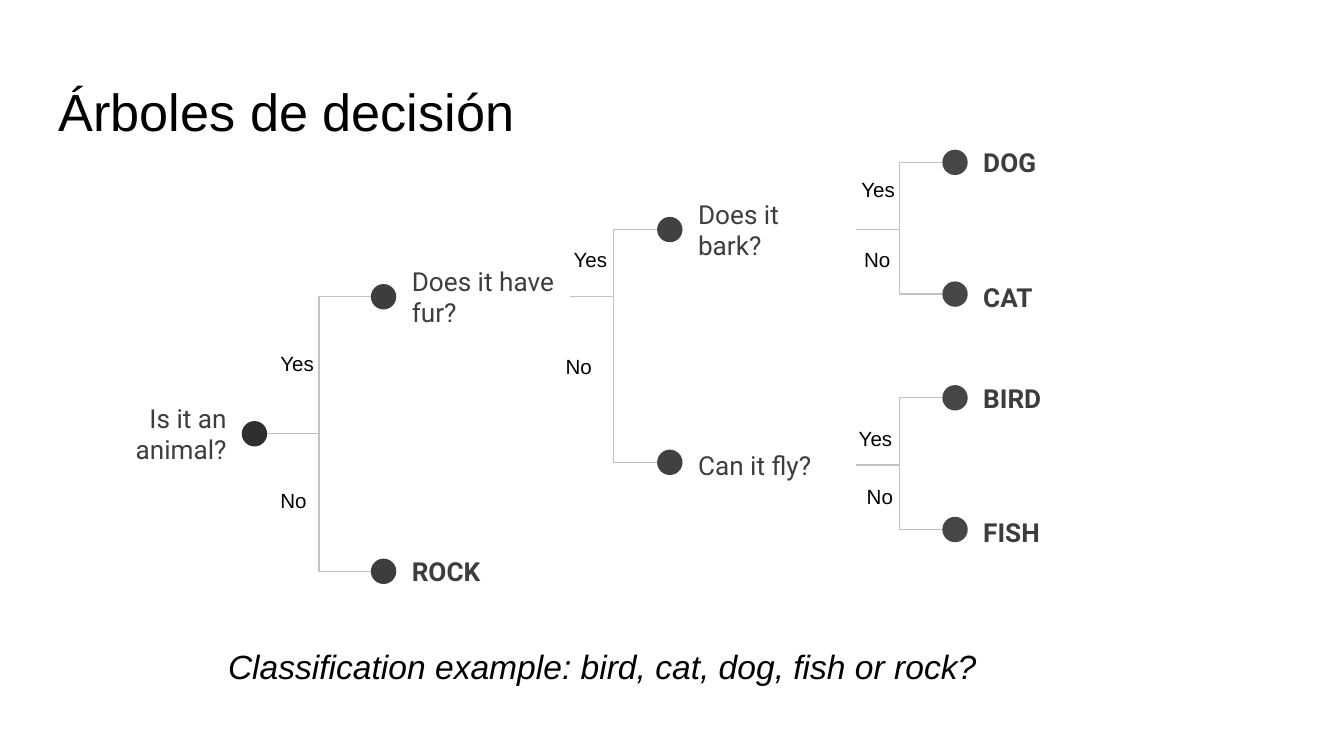
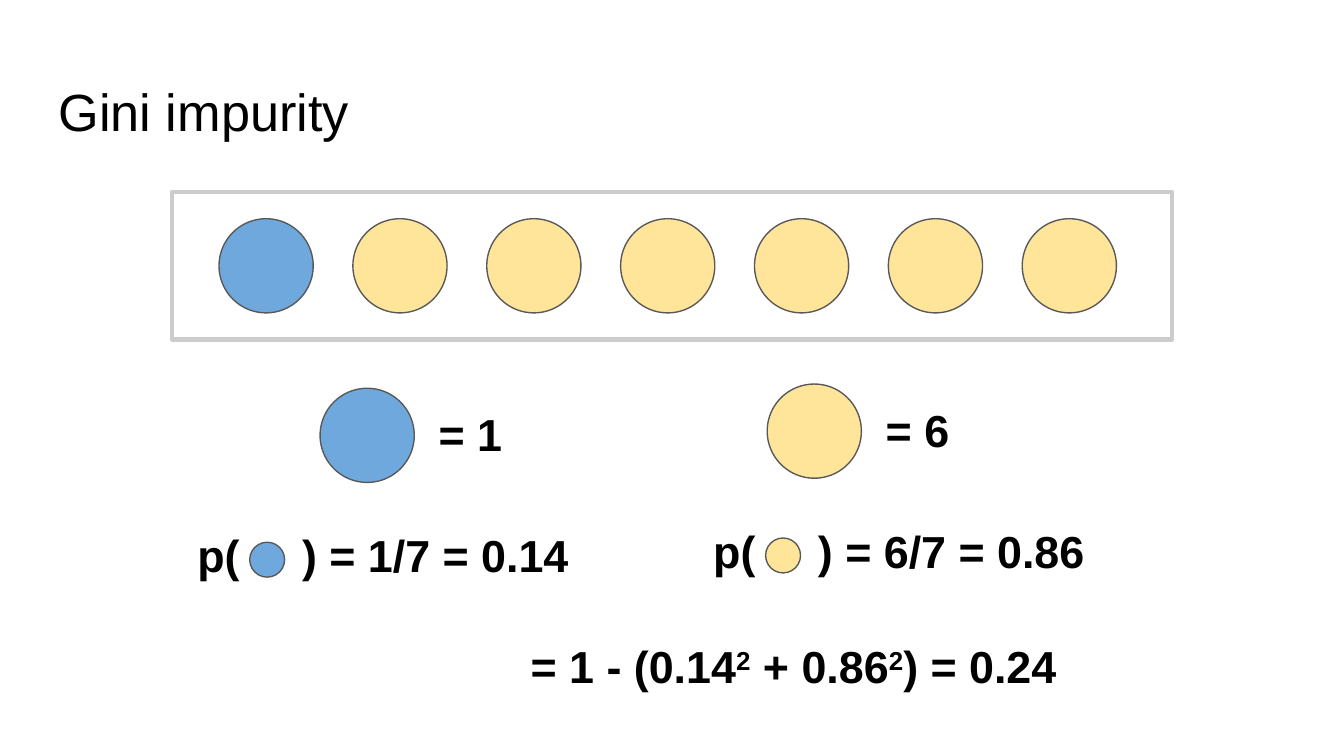
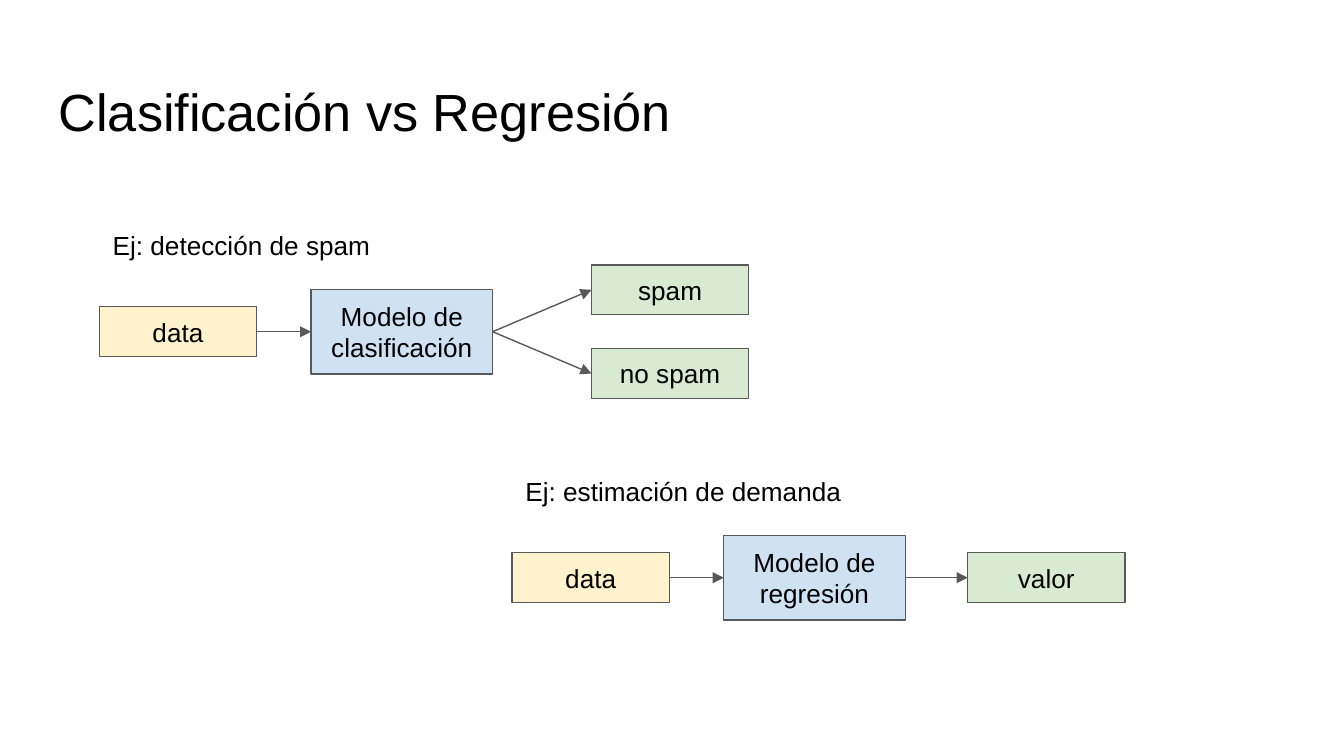
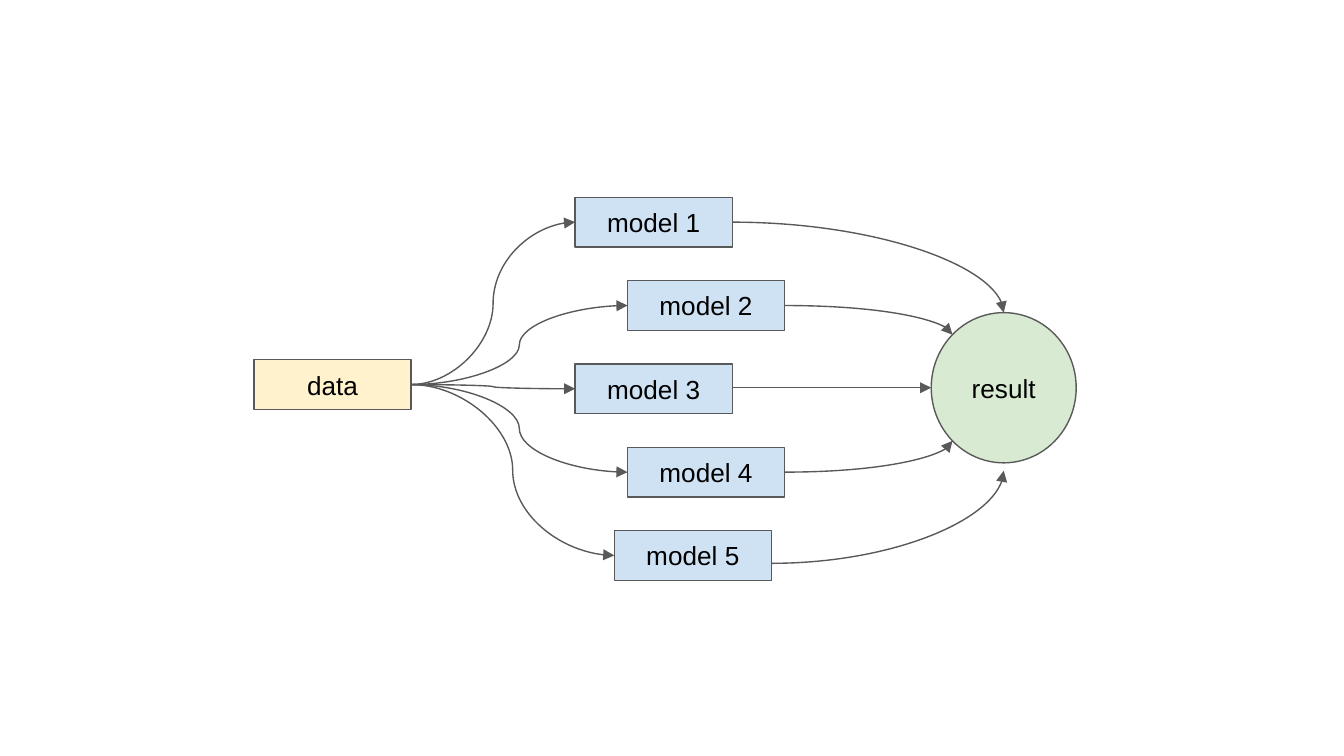
"""Builds four slides on decision trees, Gini impurity and model types."""
from collections import namedtuple
from math import cos, radians, sin

from lxml import etree
from pptx import Presentation
from pptx.dml.color import RGBColor
from pptx.enum.shapes import MSO_CONNECTOR, MSO_SHAPE
from pptx.enum.text import MSO_ANCHOR, PP_ALIGN
from pptx.oxml.ns import qn
from pptx.util import Cm, Pt

LEFT, CENTER, RIGHT = PP_ALIGN.LEFT, PP_ALIGN.CENTER, PP_ALIGN.RIGHT
TOP, MIDDLE = MSO_ANCHOR.TOP, MSO_ANCHOR.MIDDLE
RECT, ROUND, OVAL = MSO_SHAPE.RECTANGLE, MSO_SHAPE.ROUNDED_RECTANGLE, MSO_SHAPE.OVAL
STRAIGHT, ELBOW, CURVE = MSO_CONNECTOR.STRAIGHT, MSO_CONNECTOR.ELBOW, MSO_CONNECTOR.CURVE

COLORS = {
    "text": "000000", "label": "3D3D3D", "branch": "C2C2C2",
    "outline": "595959", "frame": "CCCCCC",
    "blue": "6FA8DC", "yellow": "FFE599",
    "data": "FFF2CC", "model": "CFE2F3", "outcome": "D9EAD3",
    "level0": "2F2F2F", "level1": "3D3D3D", "level2": "414141", "level3": "464646",
}
INSET = 0.25
DOT = 0.48
LABEL_WIDTH, LABEL_HEIGHT = 3.28, 0.89
BALL, SMALL_BALL = 1.78, 0.66
NODE_WIDTH, NODE_HEIGHT = 2.97, 0.94
MODEL_WIDTH, MODEL_HEIGHT = 3.43, 1.6

Box = namedtuple("Box", "left top width height")
Node = namedtuple("Node", "text level y sink")
Branch = namedtuple("Branch", "parent children yes no")

DOT_LEFTS = (3.27, 5.71, 11.12, 16.51)
NODES = {
    "animal": Node("Is it an animal?", 0, 5.58, 0),
    "fur": Node("Does it have fur?", 1, 2.99, 0),
    "rock": Node("ROCK", 1, 8.18, 0),
    "bark": Node("Does it bark?", 2, 1.72, 0),
    "fly": Node("Can it fly?", 2, 6.12, 0.05),
    "dog": Node("DOG", 3, 0.45, 0),
    "cat": Node("CAT", 3, 2.94, 0.05),
    "bird": Node("BIRD", 3, 4.9, 0),
    "fish": Node("FISH", 3, 7.39, 0.05),
}
BRANCHES = (
    Branch("animal", ("fur", "rock"), (0, -1.8), (0, 0.79)),
    Branch("fur", ("bark", "fly"), (-0.18, -1.17), (-0.33, 0.84)),
    Branch("bark", ("dog", "cat"), (-0.15, -1.22), (-0.1, 0.1)),
    Branch("fly", ("bird", "fish"), (-0.2, -0.97), (-0.05, 0.13)),
)


def rgb(name):
    """Return the named colour."""
    return RGBColor.from_string(COLORS[name])


def write(shape, text, size=14, font="Arial", color="text", bold=False,
          italic=False, align=LEFT, anchor=TOP, tab=None):
    """Write text in a shape; in a tuple, every second span is superscript."""
    frame = shape.text_frame
    frame.word_wrap = True
    frame.vertical_anchor = anchor
    frame.margin_left = frame.margin_right = Cm(INSET)
    frame.margin_top = frame.margin_bottom = Cm(INSET)
    para = frame.paragraphs[0]
    para.alignment = align
    if tab:
        stops = etree.SubElement(para._p.get_or_add_pPr(), qn("a:tabLst"))
        etree.SubElement(stops, qn("a:tab"), pos=str(Cm(tab)), algn="l")
    for index, part in enumerate((text,) if isinstance(text, str) else text):
        span = para.add_run()
        span.text = part
        span.font.name, span.font.size = font, Pt(size)
        span.font.bold, span.font.italic = bold, italic
        span.font.color.rgb = rgb(color)
        if index % 2:
            span._r.get_or_add_rPr().set("baseline", "30000")


def add_text(page, box, text, **style):
    """Add a text box."""
    write(page.shapes.add_textbox(*map(Cm, box)), text, **style)


def add_shape(page, kind, box, fill=None, line=None, width=0.75, text=None, **style):
    """Add a preset shape with optional fill, outline and text."""
    shape = page.shapes.add_shape(kind, *map(Cm, box))
    shape.shadow.inherit = False
    if fill:
        shape.fill.solid()
        shape.fill.fore_color.rgb = rgb(fill)
    else:
        shape.fill.background()
    if line:
        shape.line.color.rgb = rgb(line)
        shape.line.width = Pt(width)
    else:
        shape.line.fill.background()
    if text:
        write(shape, text, **style)


def add_link(page, start, end, kind=STRAIGHT, color="outline", arrow=True, preset=None):
    """Join two points with a line, with an arrowhead at the end if wanted."""
    link = page.shapes.add_connector(kind, *map(Cm, (*start, *end)))
    link.line.color.rgb = rgb(color)
    link.line.width = Pt(0.75)
    properties = link.element.spPr
    if arrow:
        etree.SubElement(properties.find(qn("a:ln")), qn("a:tailEnd"), type="triangle")
    if preset:
        properties.find(qn("a:prstGeom")).set("prst", preset)
    etree.SubElement(properties, qn("a:effectLst"))


def add_ball(page, left, top, size, color):
    """Add an outlined ball."""
    add_shape(page, OVAL, (left, top, size, size), fill=color, line="outline")


def add_node(page, box, text, fill, kind=RECT):
    """Add an outlined node with centred text."""
    add_shape(page, kind, box, fill=fill, line="outline", text=text,
              align=CENTER, anchor=MIDDLE)


def add_page(deck, title=None):
    """Add a blank page with an optional title."""
    page = deck.slides.add_slide(deck.slide_layouts[6])
    if title:
        add_text(page, (0.86, 1.24, 23.67, 1.6), title, size=28)
    return page


def draw_tree(page, box):
    """Draw the decision tree: branches, answers, dots and labels."""
    for branch in BRANCHES:
        parent = NODES[branch.parent]
        stem_x = box.left + DOT_LEFTS[parent.level] + DOT
        stem_x += LABEL_WIDTH if parent.level else 0
        stem_y = box.top + parent.y + parent.sink
        for child in (NODES[name] for name in branch.children):
            end = (box.left + DOT_LEFTS[child.level], box.top + child.y)
            add_link(page, (stem_x, stem_y), end, ELBOW, "branch", arrow=False)
        for answer, (dx, dy) in (("Yes", branch.yes), ("No", branch.no)):
            add_text(page, (stem_x + dx, stem_y + dy, 1.96, 1.02), answer, size=11)
    for node in NODES.values():
        dot_x, y = box.left + DOT_LEFTS[node.level], box.top + node.y
        label_x = dot_x + DOT if node.level else box.left
        add_shape(page, OVAL, (dot_x, y - DOT / 2, DOT, DOT), fill=f"level{node.level}")
        add_shape(page, ROUND,
                  (label_x, y + node.sink - LABEL_HEIGHT / 2, LABEL_WIDTH, LABEL_HEIGHT),
                  text=node.text, font="Roboto", color="label", bold=node.text.isupper(),
                  align=LEFT if node.level else RIGHT, anchor=MIDDLE)


def draw_sample(page, box, balls):
    """Draw a framed row of evenly spaced balls."""
    add_shape(page, RECT, box, line="frame", width=2.25)
    for index, color in enumerate(balls):
        add_ball(page, box.left + 0.89 + index * 2.53,
                 box.top + (box.height - BALL) / 2, BALL, color)


def draw_share(page, box, color, count, share, indent):
    """Draw the count of one colour and its probability."""
    add_ball(page, box.left + indent, box.top, BALL, color)
    add_text(page, (box.left + indent + 1.99, box.top + 0.1, 2.2, 1.27),
             f"= {count}", size=24, bold=True)
    add_text(page, (box.left, box.top + 2.35, box.width, 1.6),
             f"p(\t) = {count}/7 = {share}", size=24, bold=True, anchor=MIDDLE, tab=1.98)
    add_ball(page, box.left + 1.24, box.top + 2.91, SMALL_BALL, color)


def draw_flow(page, box, caption, model, outcomes):
    """Draw data, model and outcomes from left to right under a caption."""
    middle = box.top + 2.18
    model_x = box.left + 4
    outcome_x = box.left + box.width - NODE_WIDTH
    add_text(page, (box.left, box.top, 8.2, 0.51), caption)
    add_node(page, (box.left, middle - NODE_HEIGHT / 2, NODE_WIDTH, NODE_HEIGHT),
             "data", "data")
    add_node(page, (model_x, middle - MODEL_HEIGHT / 2, MODEL_WIDTH, MODEL_HEIGHT),
             model, "model")
    add_link(page, (box.left + NODE_WIDTH, middle), (model_x, middle))
    for index, outcome in enumerate(outcomes):
        y = middle + (index - (len(outcomes) - 1) / 2) * 1.58
        add_node(page, (outcome_x, y - NODE_HEIGHT / 2, NODE_WIDTH, NODE_HEIGHT),
                 outcome, "outcome")
        add_link(page, (model_x + MODEL_WIDTH, middle), (outcome_x, y))


def draw_ensemble(page, box):
    """Draw data feeding five models that join in one result."""
    result = Box(box.left + box.width - 2.74, box.top + 2.18, 2.74, 2.84)
    center_x, center_y = result.left + result.width / 2, result.top + result.height / 2
    data_y = box.top + 3.07
    start = (box.left + NODE_WIDTH, data_y + NODE_HEIGHT / 2)
    add_node(page, (box.left, data_y, NODE_WIDTH, NODE_HEIGHT), "data", "data")
    add_node(page, result, "result", "outcome", OVAL)
    for index, indent in enumerate((6.07, 7.06, 6.07, 7.06, 6.81)):
        left, top = box.left + indent, box.top + index * 1.575
        middle = top + NODE_HEIGHT / 2
        add_node(page, (left, top, NODE_WIDTH, NODE_HEIGHT), f"model {index + 1}", "model")
        add_link(page, start, (left, middle), CURVE)
        angle = radians(90 - 45 * index)
        drop = 0.15 if index == 4 else 0
        end = (center_x - result.width / 2 * cos(angle),
               center_y - result.height / 2 * sin(angle) + drop)
        if index == 2:
            add_link(page, (left + NODE_WIDTH, end[1]), end, CURVE)
        else:
            add_link(page, (left + NODE_WIDTH, middle + drop), end, CURVE,
                     preset="curvedConnector2")


def main():
    """Build and save the deck."""
    deck = Presentation()
    deck.slide_width, deck.slide_height = Cm(25.4), Cm(14.29)

    page = add_page(deck, "Árboles de decisión")
    draw_tree(page, Box(1.3, 2.62, 20.27, 8.64))
    add_text(page, (4.06, 11.96, 17.7, 1.42),
             "Classification example: bird, cat, dog, fish or rock?", size=18, italic=True)

    page = add_page(deck, "Gini impurity")
    draw_sample(page, Box(3.25, 3.63, 18.9, 2.79), ["blue"] + ["yellow"] * 6)
    draw_share(page, Box(3.48, 7.34, 8.33, 3.95), "blue", 1, "0.14", 2.57)
    draw_share(page, Box(13.23, 7.26, 8.33, 3.95), "yellow", 6, "0.86", 1.27)
    add_text(page, (9.78, 11.79, 11.23, 1.6),
             ("= 1 - (0.14", "2", " + 0.86", "2", ") = 0.24"),
             size=24, bold=True, anchor=MIDDLE)

    page = add_page(deck, "Clasificación vs Regresión")
    draw_flow(page, Box(1.88, 4.09, 12.27, 3.43), "Ej: detección de spam",
              "Modelo de clasificación", ("spam", "no spam"))
    draw_flow(page, Box(9.68, 8.74, 11.58, 2.98), "Ej: estimación de demanda",
              "Modelo de regresión", ("valor",))

    draw_ensemble(add_page(deck), Box(4.8, 3.73, 15.54, 7.24))
    deck.save("out.pptx")


if __name__ == "__main__":
    main()
